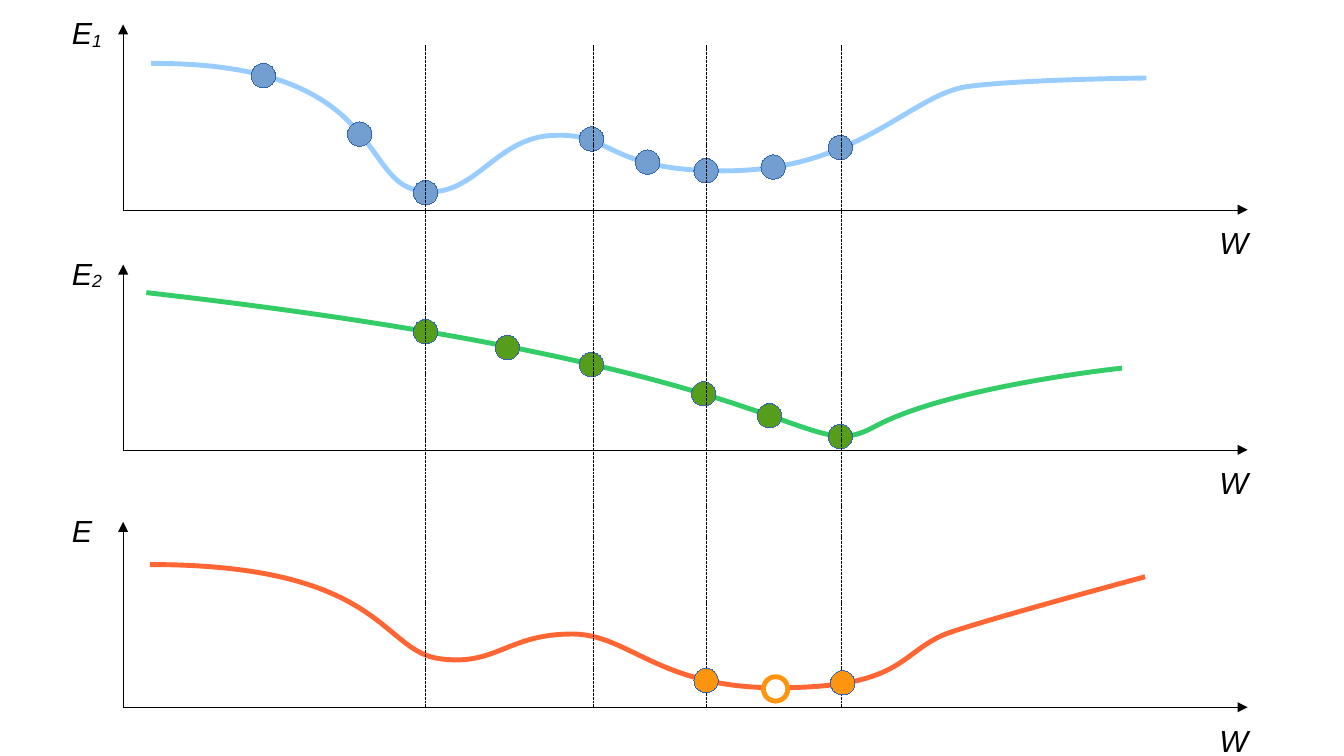
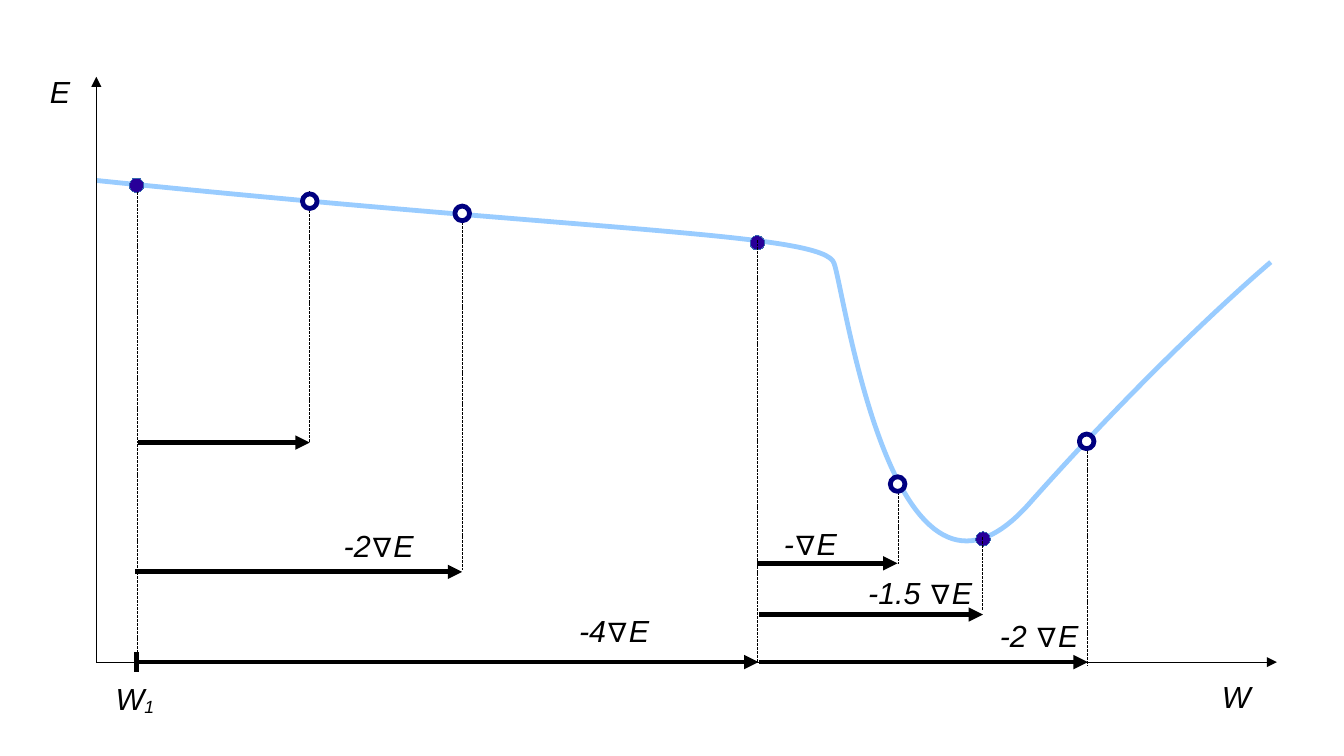
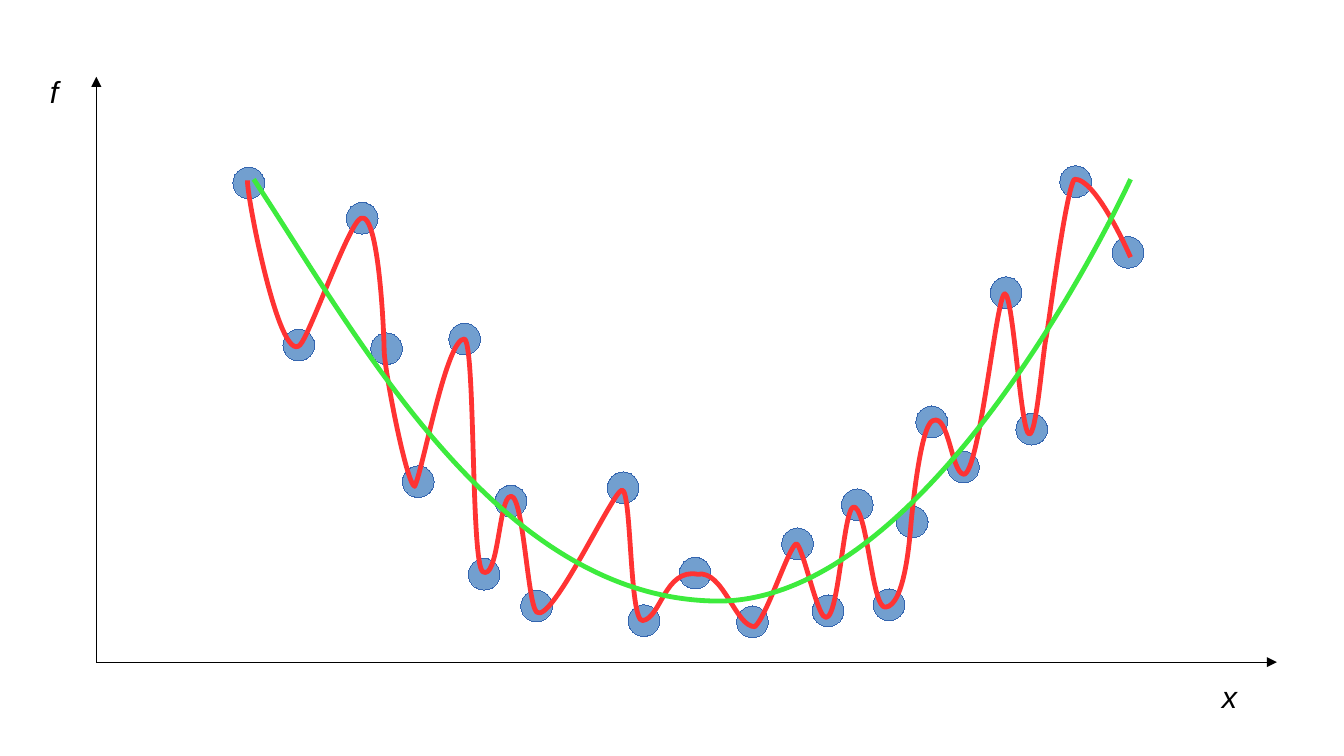
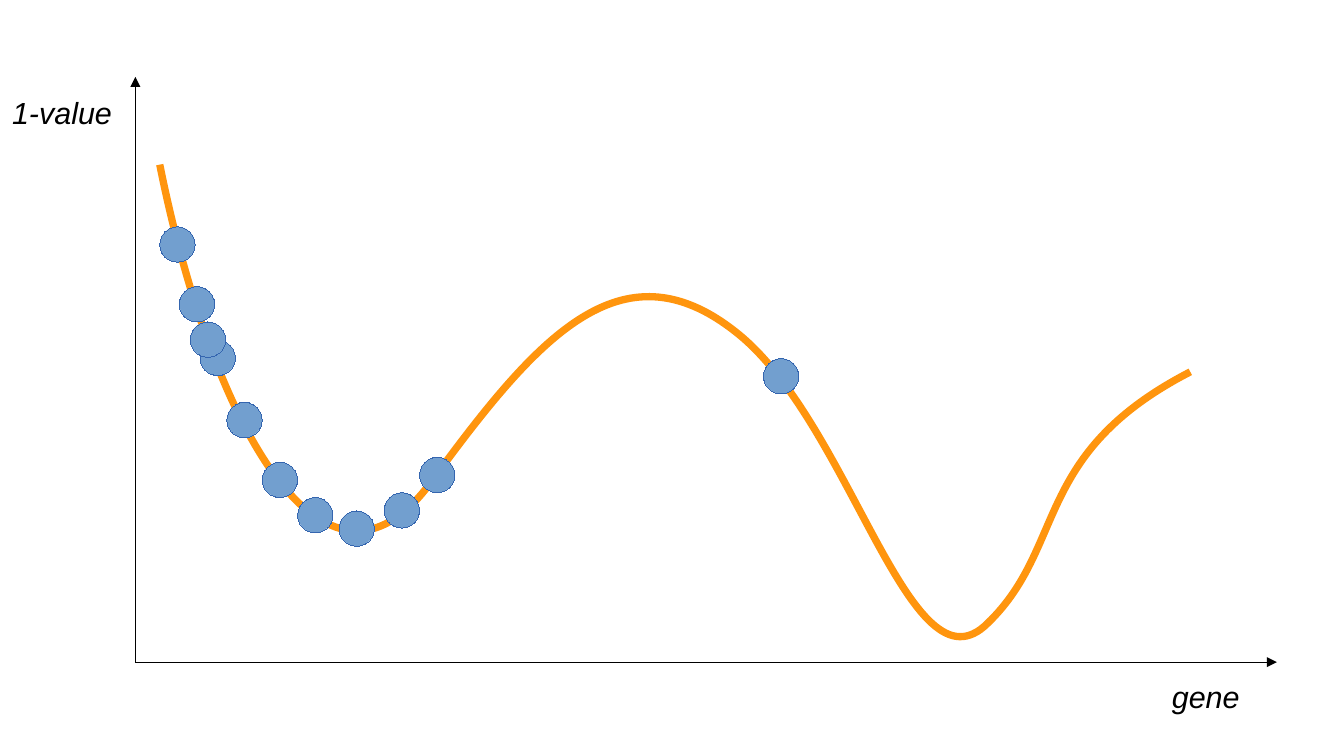
from dataclasses import dataclass
from itertools import groupby
from typing import Any

from lxml.etree import SubElement
from pptx import Presentation
from pptx.dml.color import RGBColor
from pptx.enum.shapes import MSO_CONNECTOR, MSO_SHAPE
from pptx.enum.text import MSO_ANCHOR, MSO_AUTO_SIZE, PP_ALIGN
from pptx.oxml.ns import qn
from pptx.util import Pt

PX = 9144
SLIDE_WIDTH, SLIDE_HEIGHT = 1102, 620
BLANK_LAYOUT = 6
FONT_NAME, FONT_SIZE = "Arial", 18
SUBSCRIPT_BASELINE = "-8000"
DASH_LENGTH = "150000"
NABLA = "∇"
CURVE_STEPS = 32

HAIRLINE, BOLD_LINE, HEAVY_LINE = 0.01, 2.83, 4.31

BLACK, WHITE = "000000", "FFFFFF"
DOT_BLUE, DOT_EDGE = "729FCF", "3465AF"
DOT_GREEN, ORANGE = "579D1C", "FF950E"
DOT_INDIGO, RING_NAVY = "280099", "000080"
SKY, GREEN, CORAL = "99CCFF", "33CC66", "FF6633"
RED, LIME = "FF3333", "3DEB3D"


def hex_color(value):
    """Turn a hex string into a colour."""
    return RGBColor.from_string(value)


def style_line(line, color, width):
    """Set the colour and the width in points of a line."""
    line.color.rgb = hex_color(color)
    line.width = Pt(width)


def bezier_point(anchors, t):
    """Return the point at t on the cubic curve through four anchors."""
    weights = ((1 - t) ** 3, 3 * t * (1 - t) ** 2, 3 * t ** 2 * (1 - t), t ** 3)
    return tuple(sum(w * anchor[axis] for w, anchor in zip(weights, anchors)) for axis in (0, 1))


def curve_corners(points):
    """Return the left top and right bottom corners around a chain of cubics."""
    samples = [
        bezier_point(points[first:first + 4], step / CURVE_STEPS)
        for first in range(0, len(points) - 1, 3)
        for step in range(CURVE_STEPS + 1)
    ]
    return [tuple(pick(values) for values in zip(*samples)) for pick in (min, max)]


def write_cubics(outline, points):
    """Replace the segments of an outline by a chain of cubics."""
    for segment in list(outline):
        outline.remove(segment)
    chain = [("a:moveTo", points[:1])]
    chain += [("a:cubicBezTo", points[first:first + 3]) for first in range(1, len(points), 3)]
    for tag, anchors in chain:
        segment = SubElement(outline, qn(tag))
        for x, y in anchors:
            SubElement(segment, qn("a:pt"), x=str(x), y=str(y))


@dataclass
class Region:
    """A part of a slide whose contents are placed from its left top corner."""

    slide: Any
    left: int = 0
    top: int = 0

    def place(self, x, y):
        """Turn a point of the region into EMU on the slide."""
        return round((self.left + x) * PX), round((self.top + y) * PX)

    def connect(self, start, end, width=HAIRLINE, arrow=False, dashed=False):
        """Draw a straight black line, optionally dashed or with an arrowhead."""
        connector = self.slide.shapes.add_connector(
            MSO_CONNECTOR.STRAIGHT, *self.place(*start), *self.place(*end)
        )
        style_line(connector.line, BLACK, width)
        outline = connector._element.spPr.find(qn("a:ln"))
        if dashed:
            dashes = SubElement(outline, qn("a:custDash"))
            SubElement(dashes, qn("a:ds"), d=DASH_LENGTH, sp=DASH_LENGTH)
        if arrow:
            SubElement(outline, qn("a:tailEnd"), type="triangle")
        SubElement(connector._element.spPr, qn("a:effectLst"))

    def guides(self, spans):
        """Draw dashed vertical lines, each given as x, top and bottom."""
        for x, top, bottom in spans:
            self.connect((x, top), (x, bottom), dashed=True)

    def arrows(self, spans):
        """Draw bold horizontal arrows, each given as y, left and right."""
        for y, left, right in spans:
            self.connect((left, y), (right, y), BOLD_LINE, arrow=True)

    def curve(self, points, color, width=BOLD_LINE):
        """Draw an open smooth curve through cubic anchors."""
        start, end = (self.place(*corner) for corner in curve_corners(points))
        builder = self.slide.shapes.build_freeform(*start)
        builder.add_line_segments([end], close=False)
        shape = builder.convert_to_shape()
        placed = [self.place(*point) for point in points]
        outline = next(shape._element.spPr.iter(qn("a:path")))
        write_cubics(outline, [(x - start[0], y - start[1]) for x, y in placed])
        shape.shadow.inherit = False
        shape.fill.background()
        style_line(shape.line, color, width)

    def dots(self, corners, size, fill, edge=DOT_EDGE, width=HAIRLINE):
        """Draw equal circles at the given left top corners."""
        for corner in corners:
            dot = self.slide.shapes.add_shape(
                MSO_SHAPE.OVAL, *self.place(*corner), size * PX, size * PX
            )
            dot.shadow.inherit = False
            dot.fill.solid()
            dot.fill.fore_color.rgb = hex_color(fill)
            style_line(dot.line, edge, width)

    def label(self, text, box, subscript=""):
        """Write an italic label with upright nablas and an optional subscript."""
        x, y, width, height = box
        shape = self.slide.shapes.add_textbox(*self.place(x, y), width * PX, height * PX)
        frame = shape.text_frame
        frame.word_wrap = True
        frame.auto_size = MSO_AUTO_SIZE.SHAPE_TO_FIT_TEXT
        frame.vertical_anchor = MSO_ANCHOR.TOP
        paragraph = frame.paragraphs[0]
        paragraph.alignment = PP_ALIGN.LEFT
        pieces = ["".join(group) for _, group in groupby(text, key=lambda c: c == NABLA)]
        for piece in pieces + [subscript] * bool(subscript):
            run = paragraph.add_run()
            run.text = piece
            run.font.name = FONT_NAME
            run.font.size = Pt(FONT_SIZE)
            run.font.italic = piece != NABLA
            run.font.color.rgb = hex_color(BLACK)
        if subscript:
            run._r.get_or_add_rPr().set("baseline", SUBSCRIPT_BASELINE)

    def axes(self, box):
        """Draw two arrows from the left bottom corner of a box."""
        left, top, width, height = box
        origin = (left, top + height)
        self.connect(origin, (left + width, top + height), arrow=True)
        self.connect(origin, (left, top), arrow=True)


def error_panel(region, subscript, points, color):
    """Draw one error plot with its axes, labels and curve."""
    region.axes((101, 20, 922, 152))
    region.label("W", (990, 179, 71, 38))
    region.label("E", (49, 7, 71, 46), subscript)
    region.curve(points, color, 2.89)


def full_axes(region, x_label, y_label, left=79):
    """Draw axes over the whole slide with a (text, box) label for each."""
    region.axes((left, 63, 1047 - left, 480))
    region.label(*x_label)
    region.label(*y_label)


def error_sum_slide(slide):
    """Show two error curves and their sum with shared minima."""
    first, second, total = (Region(slide, 0, top) for top in (0, 197, 408))
    error_panel(first, "1", [
        (124, 52), (314, 51), (295, 147), (342, 156), (389, 166), (404, 112), (455, 111),
        (505, 109), (497, 142), (602, 140), (706, 137), (747, 78), (793, 71),
        (838, 65), (940, 64), (940, 64),
    ], SKY)
    error_panel(second, "2", [
        (120, 43), (666, 105), (657, 186), (717, 153), (778, 120), (919, 105), (920, 105),
    ], GREEN)
    error_panel(total, "", [
        (123, 55), (313, 55), (312, 124), (359, 132), (406, 139), (415, 113), (466, 112),
        (516, 110), (538, 158), (643, 156), (748, 155), (737, 123), (784, 109),
        (831, 94), (939, 65), (939, 65),
    ], CORAL)
    first.dots([
        (206, 52), (285, 100), (339, 148), (475, 104), (521, 123), (569, 130),
        (679, 111), (624, 127),
    ], 20, DOT_BLUE)
    second.dots([
        (339, 65), (406, 78), (475, 92), (567, 116), (621, 134), (679, 151),
    ], 20, DOT_GREEN)
    Region(slide).guides([(x, 37, 580) for x in (349, 487, 579, 690)])
    total.dots([(569, 140), (681, 142)], 20, ORANGE)
    total.dots([(626, 147)], 20, WHITE, ORANGE, 2.89)


def step_size_slide(slide):
    """Show steps of several sizes along the gradient."""
    region = Region(slide)
    region.curve([
        (79, 148), (497, 191), (676, 191), (684, 216), (693, 242), (733, 538), (844, 413),
        (955, 288), (1042, 215), (1042, 215),
    ], SKY)
    full_axes(region, ("W", (992, 551, 71, 38)), ("E", (31, 55, 71, 38)))
    region.dots([(106, 146), (615, 193), (800, 436)], 12, DOT_INDIGO)
    region.connect((112, 535), (112, 551), BOLD_LINE)
    region.label("W", (85, 553, 63, 46), "1")
    region.guides([
        (113, 158, 543), (254, 157, 363), (379, 173, 469), (621, 197, 543),
        (737, 398, 462), (806, 441, 501), (892, 364, 546),
    ])
    region.arrows([
        (363, 113, 254), (469, 111, 379), (543, 111, 622),
        (462, 621, 736), (504, 622, 806), (543, 622, 892),
    ])
    region.dots([(248, 159), (373, 169), (730, 391), (885, 356)], 12, WHITE, RING_NAVY, BOLD_LINE)
    for text, x, y, width in (
        ("-∇E", 633, 426, 66), ("-2∇E", 272, 427, 134), ("-4∇E", 465, 497, 134),
        ("-1.5 ∇E", 702, 466, 108), ("-2 ∇E", 810, 501, 108),
    ):
        region.label(text, (x, y, width, 46))


def overfitting_slide(slide):
    """Show a smooth fit against a curve that follows every sample."""
    region = Region(slide)
    full_axes(region, ("x", (992, 551, 71, 38)), ("f", (31, 55, 71, 38)))
    region.dots([
        (191, 137), (304, 273), (406, 398), (515, 496), (604, 497), (735, 415), (777, 370),
        (912, 194), (284, 166), (232, 270), (368, 265), (330, 382), (427, 484), (384, 458),
        (557, 457), (641, 433), (666, 488), (690, 401), (751, 333), (812, 227), (869, 136),
        (833, 339), (716, 483), (498, 387),
    ], 26, DOT_BLUE)
    region.curve([
        (203, 148), (202, 159), (229, 300), (246, 283), (254, 275), (286, 183), (296, 179),
        (311, 173), (315, 277), (315, 287), (315, 302), (333, 396), (340, 399),
        (347, 385), (366, 277), (381, 278), (390, 285), (386, 463), (396, 469),
        (408, 476), (409, 416), (417, 408), (429, 396), (432, 494), (440, 502),
        (452, 513), (503, 402), (510, 402), (518, 401), (516, 510), (527, 509),
        (542, 507), (545, 466), (572, 471), (593, 467), (603, 514), (619, 514),
        (629, 505), (647, 448), (653, 446), (658, 448), (668, 496), (675, 505),
        (688, 520), (691, 410), (701, 416), (712, 423), (715, 499), (726, 498),
        (742, 497), (746, 441), (747, 430), (748, 418), (755, 348), (765, 345),
        (778, 339), (780, 387), (790, 389), (803, 391), (817, 241), (824, 241),
        (831, 242), (837, 356), (844, 356), (850, 357), (855, 288), (858, 276),
        (860, 265), (874, 156), (881, 147), (899, 146), (927, 211), (927, 211),
    ], RED)
    region.curve([
        (208, 147), (295, 279), (409, 492), (589, 493), (769, 493), (927, 147), (927, 147),
    ], LIME)


def gene_slide(slide):
    """Show a population gathered around a local minimum."""
    region = Region(slide)
    full_axes(region, ("gene", (951, 551, 112, 38)), ("1-value", (0, 72, 111, 38)), left=111)
    region.curve([
        (131, 135), (174, 349), (266, 514), (353, 396), (440, 277), (509, 198), (603, 272),
        (698, 346), (746, 575), (810, 511), (875, 448), (846, 372), (976, 305),
    ], ORANGE, HEAVY_LINE)
    region.dots([
        (147, 235), (131, 186), (164, 279), (186, 330), (156, 264), (244, 408),
        (315, 404), (278, 419), (626, 294), (215, 379), (344, 375),
    ], 29, DOT_BLUE)


def main():
    """Build the presentation and save it."""
    presentation = Presentation()
    presentation.slide_width = SLIDE_WIDTH * PX
    presentation.slide_height = SLIDE_HEIGHT * PX
    layout = presentation.slide_layouts[BLANK_LAYOUT]
    for build in (error_sum_slide, step_size_slide, overfitting_slide, gene_slide):
        build(presentation.slides.add_slide(layout))
    presentation.save("out.pptx")


if __name__ == "__main__":
    main()
